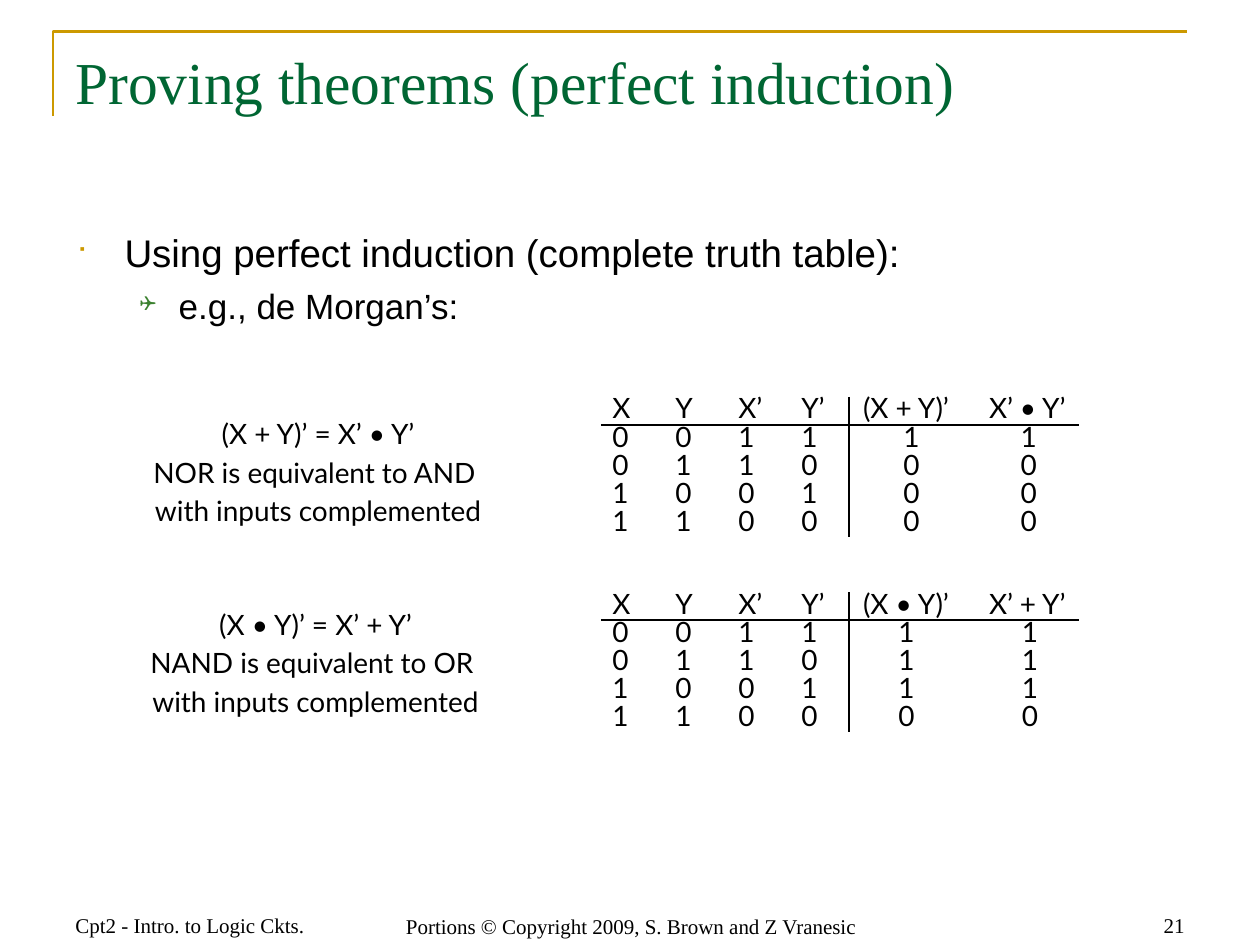
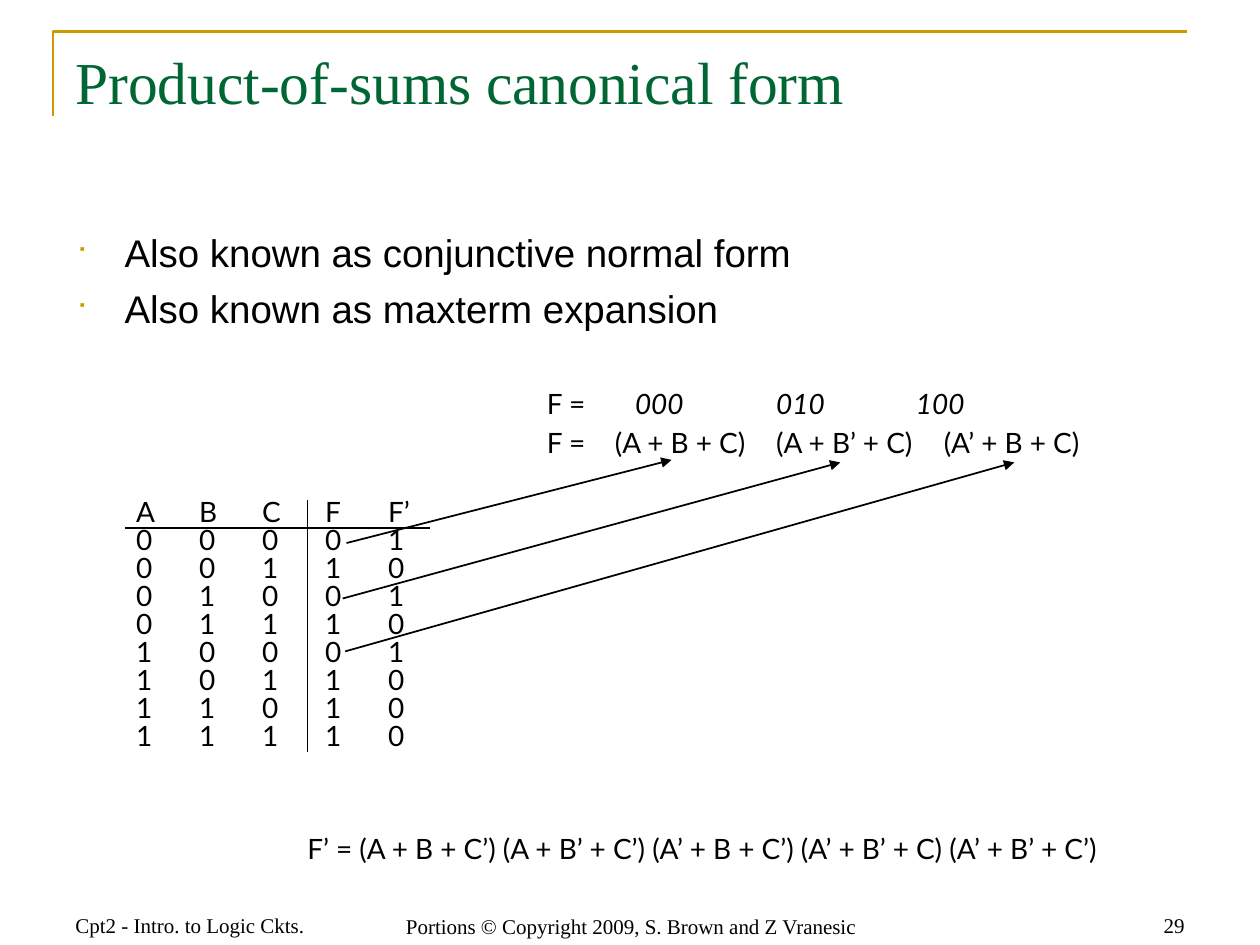
from dataclasses import dataclass

import pptx
import pptx.dml.color
import pptx.enum.shapes
import pptx.enum.text
import pptx.oxml
import pptx.oxml.ns
import pptx.util

Inches = pptx.util.Inches
Pt = pptx.util.Pt
RGBColor = pptx.dml.color.RGBColor
Align = pptx.enum.text.PP_ALIGN
Anchor = pptx.enum.text.MSO_ANCHOR

GOLD = RGBColor(0xCC, 0x99, 0x00)
TITLE_GREEN = RGBColor(0x00, 0x66, 0x33)
BULLET_GREEN = RGBColor(0x3B, 0x81, 0x2F)
BLACK = RGBColor(0, 0, 0)

SERIF = "Times New Roman"
SANS = "Arial"
FORMULA = "Lato"
SYMBOLS = "Wingdings"
ROW_HEIGHT = 16 / 72
INPUT_MARGIN = 0.09
WIDE_INSETS = (0.1, 0.05)
TIGHT_INSETS = (0.02, 0.03)

Point = tuple[float, float]


@dataclass(frozen=True)
class TextStyle:
    font: str
    size: float
    color: RGBColor = BLACK
    align: Align = Align.LEFT
    anchor: Anchor = Anchor.TOP
    insets: tuple[float, float] = WIDE_INSETS
    line_points: float | None = None
    italic: bool = False


@dataclass(frozen=True)
class BulletLevel:
    level: int
    mark: str
    color: RGBColor
    percent: int
    margin: float
    hanging: float
    size: float
    space_before: float


@dataclass(frozen=True)
class TruthTable:
    left: float
    top: float
    widths: tuple[float, ...]
    rows: tuple[str, ...]
    header_margin: float
    value_margins: tuple[float, ...]

    @property
    def inputs(self) -> int:
        return len(self.widths) - len(self.value_margins)


@dataclass(frozen=True)
class Law:
    left: float
    top: float
    statement: str
    truth: TruthTable


@dataclass(frozen=True)
class Maxterm:
    code: str
    code_left: float
    expression: str
    left: float
    arrow_start: Point
    arrow_end: Point


TITLE = TextStyle(SERIF, 34, TITLE_GREEN)
FOOTER_LEFT = TextStyle(SERIF, 12, anchor=Anchor.BOTTOM)
FOOTER_CENTER = TextStyle(SERIF, 12, align=Align.CENTER, anchor=Anchor.BOTTOM)
FOOTER_RIGHT = TextStyle(SERIF, 12, align=Align.RIGHT, anchor=Anchor.BOTTOM)
EQUATION = TextStyle(FORMULA, 16, insets=TIGHT_INSETS, line_points=22)
CENTERED_EQUATION = TextStyle(FORMULA, 16, align=Align.CENTER, insets=TIGHT_INSETS, line_points=22)
CODE = TextStyle(FORMULA, 16, insets=TIGHT_INSETS, line_points=22, italic=True)

MAIN_POINT = BulletLevel(0, "■", GOLD, 65, 0.38, 0.38, 22, 5.5)
SUB_POINT = BulletLevel(1, "❑", BULLET_GREEN, 60, 0.81, 0.31, 20, 5)

LAW_WIDTHS = (0.5, 0.5, 0.5, 0.47, 1, 0.82)
NOR_TABLE = TruthTable(
    4.77, 3.15, LAW_WIDTHS,
    ("X|Y|X’|Y’|(X + Y)’|X’ • Y’", "0|0|1|1|1|1", "0|1|1|0|0|0", "1|0|0|1|0|0", "1|1|0|0|0|0"),
    0.11, (0.43, 0.36))
NAND_TABLE = TruthTable(
    4.77, 4.7, LAW_WIDTHS,
    ("X|Y|X’|Y’|(X • Y)’|X’ + Y’", "0|0|1|1|1|1", "0|1|1|0|1|1", "1|0|0|1|1|1", "1|1|0|0|0|0"),
    0.11, (0.39, 0.37))
FUNCTION_TABLE = TruthTable(
    0.99, 3.97, (0.5, 0.5, 0.45, 0.5, 0.47),
    ("A|B|C|F|F’", "0|0|0|0|1", "0|0|1|1|0", "0|1|0|0|1", "0|1|1|1|0",
     "1|0|0|0|1", "1|0|1|1|0", "1|1|0|1|0", "1|1|1|1|0"),
    0.14, (0.14, 0.14))

LAWS = (
    Law(0.77, 3.24, "(X + Y)’ = X’ • Y’\vNOR is equivalent to AND \vwith inputs complemented", NOR_TABLE),
    Law(0.75, 4.75, "(X • Y)’ = X’ + Y’\vNAND is equivalent to OR \vwith inputs complemented", NAND_TABLE),
)
MAXTERMS = (
    Maxterm("000", 5.02, "(A + B + C)", 4.86, (2.75, 4.31), (5.33, 3.65)),
    Maxterm("010", 6.14, "(A + B’ + C)", 6.14, (2.72, 4.75), (6.67, 3.67)),
    Maxterm("100", 7.25, "(A’ + B + C)", 7.47, (2.74, 5.17), (8.05, 3.67)),
)


def set_font(para, font: str, size: float, color: RGBColor = BLACK) -> None:
    para.font.name = font
    para.font.size = Pt(size)
    para.font.color.rgb = color


def append_xml(parent, tag: str, body: str = "", attributes: str = "") -> None:
    namespace = pptx.oxml.ns.nsdecls("a")
    parent.append(pptx.oxml.parse_xml(f"<a:{tag} {namespace} {attributes}>{body}</a:{tag}>"))


def add_frame(page, left: float, top: float, width: float, height: float,
              insets: tuple[float, float]):
    box = page.shapes.add_textbox(Inches(left), Inches(top), Inches(width), Inches(height))
    frame = box.text_frame
    frame.word_wrap = True
    frame.margin_left = frame.margin_right = Inches(insets[0])
    frame.margin_top = frame.margin_bottom = Inches(insets[1])
    return frame


def add_text(page, text: str, left: float, top: float, width: float, height: float,
             style: TextStyle) -> None:
    frame = add_frame(page, left, top, width, height, style.insets)
    frame.vertical_anchor = style.anchor
    para = frame.paragraphs[0]
    para.text = text
    para.alignment = style.align
    set_font(para, style.font, style.size, style.color)
    if style.italic:
        para.font.italic = True
    if style.line_points:
        para.line_spacing = Pt(style.line_points)


def add_bullets(page, points: list[tuple[BulletLevel, str]]) -> None:
    frame = add_frame(page, 0.51, 1.77, 9.12, 5.02, WIDE_INSETS)
    for index, (bullet, text) in enumerate(points):
        para = frame.add_paragraph() if index else frame.paragraphs[0]
        para.text = text
        para.level = bullet.level
        para.space_before = Pt(bullet.space_before)
        properties = para._p.get_or_add_pPr()
        properties.set("marL", str(Inches(bullet.margin)))
        properties.set("indent", str(-Inches(bullet.hanging)))
        append_xml(properties, "buClr", f'<a:srgbClr val="{bullet.color}"/>')
        append_xml(properties, "buSzPct", attributes=f'val="{bullet.percent * 1000}"')
        append_xml(properties, "buFont", attributes=f'typeface="{SYMBOLS}" charset="2"')
        append_xml(properties, "buChar", attributes=f'char="{bullet.mark}"')
        set_font(para, SANS, bullet.size)


def add_line(page, start: Point, end: Point, arrow: bool = False) -> None:
    line = page.shapes.add_connector(
        pptx.enum.shapes.MSO_CONNECTOR.STRAIGHT, *map(Inches, start + end))
    line.line.color.rgb = BLACK
    line.line.width = Pt(1)
    if arrow:
        append_xml(line.line._get_or_add_ln(), "tailEnd", attributes='type="triangle"')
    append_xml(line._element.spPr, "effectLst")


def cell_margin(truth: TruthTable, row: int, column: int) -> float:
    if column < truth.inputs:
        return INPUT_MARGIN
    return truth.value_margins[column - truth.inputs] if row else truth.header_margin


def clear_cell(cell) -> None:
    cell.fill.background()
    properties = cell._tc.get_or_add_tcPr()
    fill = properties[0]
    properties.remove(fill)
    for side in "LRTB":
        append_xml(properties, f"ln{side}", "<a:noFill/>")
    properties.append(fill)


def add_truth_table(page, truth: TruthTable) -> None:
    width, height = sum(truth.widths), len(truth.rows) * ROW_HEIGHT
    table = page.shapes.add_table(
        len(truth.rows), len(truth.widths), Inches(truth.left), Inches(truth.top),
        Inches(width), Inches(height)).table
    table.first_row = table.horz_banding = False
    for column, column_width in zip(table.columns, truth.widths):
        column.width = Inches(column_width)
    for row_index, row_text in enumerate(truth.rows):
        table.rows[row_index].height = Inches(ROW_HEIGHT)
        for column_index, value in enumerate(row_text.split("|")):
            cell = table.cell(row_index, column_index)
            cell.margin_left = Inches(cell_margin(truth, row_index, column_index))
            cell.margin_right = cell.margin_top = cell.margin_bottom = 0
            clear_cell(cell)
            para = cell.text_frame.paragraphs[0]
            para.text = value
            para.line_spacing = Pt(16)
            set_font(para, FORMULA, 16)
    header_bottom = truth.top + ROW_HEIGHT
    divider = truth.left + sum(truth.widths[:truth.inputs])
    add_line(page, (truth.left, header_bottom), (truth.left + width, header_bottom))
    add_line(page, (divider, truth.top), (divider, truth.top + height))


def add_page(deck, title: str, number: int):
    page = deck.slides.add_slide(deck.slide_layouts[6])
    builder = page.shapes.build_freeform(Inches(0.42), Inches(0.92))
    builder.add_line_segments(
        [(Inches(0.42), Inches(0.25)), (Inches(9.42), Inches(0.25))], close=False)
    corner = builder.convert_to_shape()
    corner.shadow.inherit = False
    corner.fill.background()
    corner.line.color.rgb = GOLD
    corner.line.width = Pt(1.5)
    add_text(page, "Cpt2 - Intro. to Logic Ckts.", 0.5, 6.99, 2.33, 0.5, FOOTER_LEFT)
    add_text(page, "Portions © Copyright 2009, S. Brown and Z Vranesic", 2.83, 7, 4.36, 0.5, FOOTER_CENTER)
    add_text(page, str(number), 7.17, 6.99, 2.33, 0.5, FOOTER_RIGHT)
    add_text(page, title, 0.5, 0.31, 9, 1.25, TITLE)
    return page


def build_induction_page(deck) -> None:
    page = add_page(deck, "Proving theorems (perfect induction)", 21)
    add_bullets(page, [
        (MAIN_POINT, "Using perfect induction (complete truth table):"),
        (SUB_POINT, "e.g., de Morgan’s:"),
    ])
    for law in LAWS:
        add_text(page, law.statement, law.left, law.top, 3.51, 1.33, CENTERED_EQUATION)
        add_truth_table(page, law.truth)


def build_product_page(deck) -> None:
    page = add_page(deck, "Product-of-sums canonical form", 29)
    add_bullets(page, [
        (MAIN_POINT, "Also known as conjunctive normal form"),
        (MAIN_POINT, "Also known as maxterm expansion"),
    ])
    add_truth_table(page, FUNCTION_TABLE)
    add_text(page, "F =\vF =", 4.32, 3, 0.5, 0.68, EQUATION)
    for term in MAXTERMS:
        add_text(page, term.code, term.code_left, 3, 0.6, 0.37, CODE)
        add_text(page, term.expression, term.left, 3.31, 1.25, 0.37, EQUATION)
        add_line(page, term.arrow_start, term.arrow_end, arrow=True)
    add_text(page, "F’ = (A + B + C’) (A + B’ + C’) (A’ + B + C’) (A’ + B’ + C) (A’ + B’ + C’)",
             2.42, 6.53, 7.33, 0.72, EQUATION)


def main() -> None:
    deck = pptx.Presentation()
    deck.slide_width = Inches(10)
    deck.slide_height = Inches(7.5)
    build_induction_page(deck)
    build_product_page(deck)
    deck.save("out.pptx")


if __name__ == "__main__":
    main()
